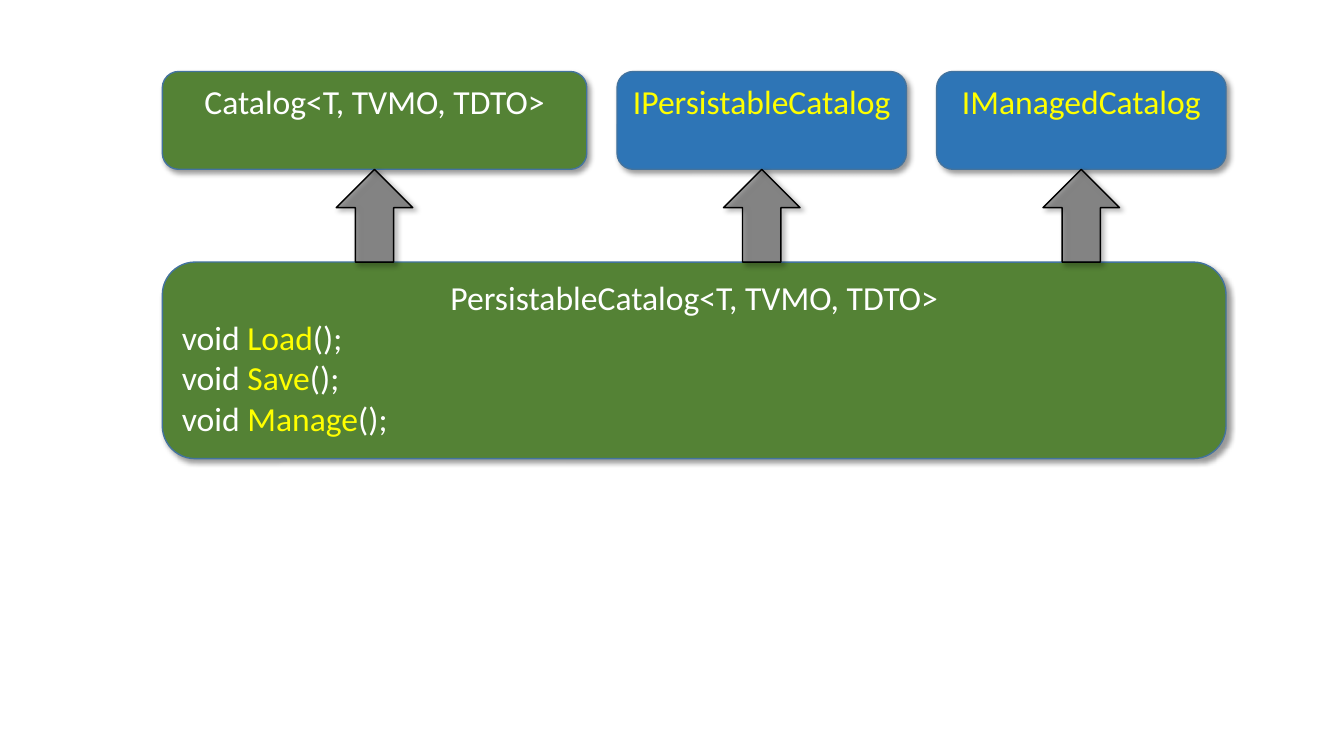
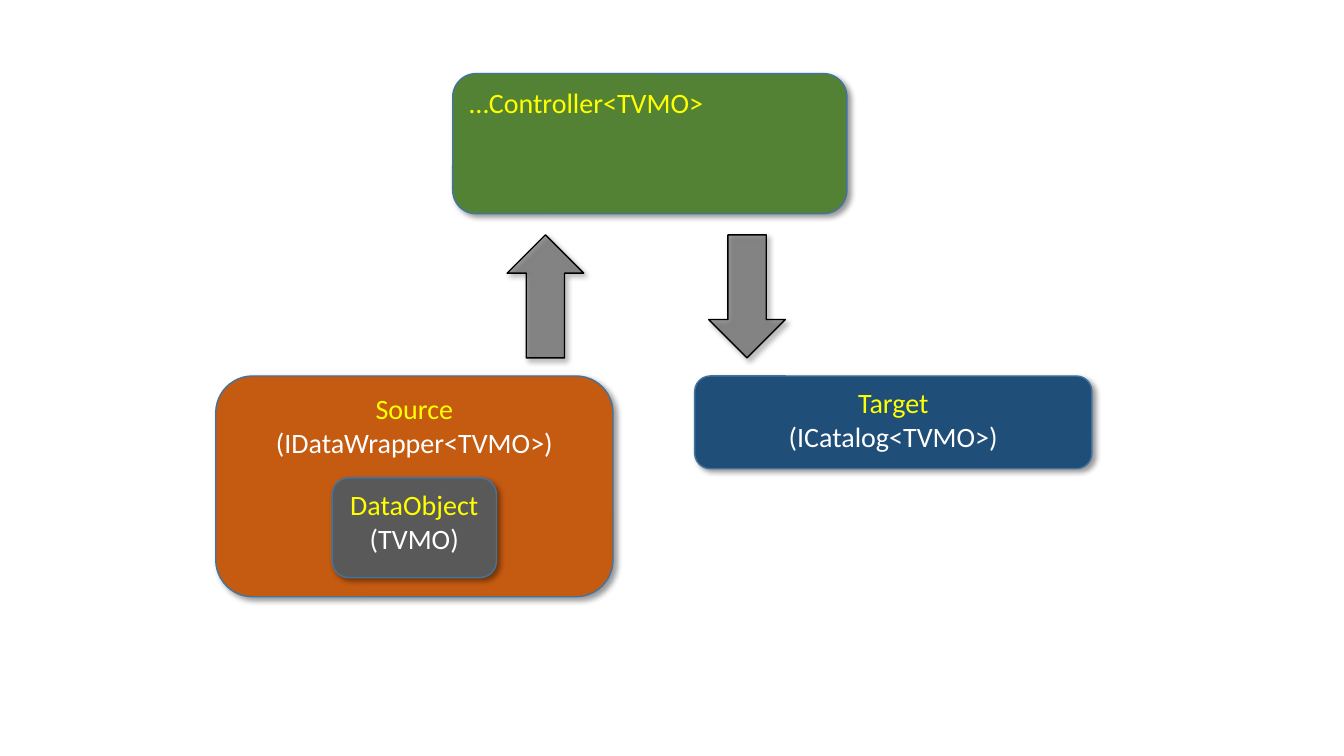
"""Build two class diagrams of a persistable catalog and its controller."""
from lxml import etree
from pptx import Presentation, util as u
from pptx.dml.color import RGBColor
from pptx.enum import shapes, text
from pptx.oxml.ns import qn

COLORS = {
    "class": "548235", "interface": "2E75B6", "source": "C55A11",
    "target": "1F4E79", "data": "595959", "border": "43739E",
    "arrow": "595959", "outline": "000000", "shadow": "000000",
    "plain": "FFFFFF", "key": "FFFF00",
}
FONT = "Calibri"
ARROW_WIDTH = 0.76
UP, DOWN = shapes.MSO_SHAPE.UP_ARROW, shapes.MSO_SHAPE.DOWN_ARROW
CENTER, LEFT = text.PP_ALIGN.CENTER, text.PP_ALIGN.LEFT

BASES = [
    ("class", 4.21, "Catalog<T, TVMO, TDTO>", "plain"),
    ("interface", 2.87, "IPersistableCatalog", "key"),
    ("interface", 2.87, "IManagedCatalog", "key"),
]
DERIVED = "PersistableCatalog<T, TVMO, TDTO>"
METHODS = ["Load", "Save", "Manage"]
CONTROLLER = "…Controller<TVMO>"
ROLES = {
    "source": ("Source", "(IDataWrapper<TVMO>)"),
    "target": ("Target", "(ICatalog<TVMO>)"),
    "data": ("DataObject", "(TVMO)"),
}


def rgb(name):
    return RGBColor.from_string(COLORS[name])


def add_alpha(color_element, percent):
    etree.SubElement(color_element, qn("a:alpha"), val=str(percent * 1000))


def add_part(slide, preset, area, fill, border):
    part = slide.shapes.add_shape(preset, *map(u.Inches, area))
    part.fill.solid()
    part.fill.fore_color.rgb = rgb(fill)
    part.line.color.rgb = rgb(border)
    part.line.width = u.Pt(1)
    part.shadow.inherit = False
    effects = part._element.spPr.find(qn("a:effectLst"))
    shadow = etree.SubElement(
        effects, qn("a:outerShdw"), blurRad=str(u.Pt(4)), dist=str(u.Pt(3)),
        dir=str(45 * 60000), algn="tl", rotWithShape="0")
    add_alpha(etree.SubElement(shadow, qn("a:srgbClr"), val=COLORS["shadow"]), 40)
    return part


def add_box(slide, area, fill, lines, size):
    """Draw a rounded box; each line is an alignment and its coloured pieces."""
    box = add_part(slide, shapes.MSO_SHAPE.ROUNDED_RECTANGLE, area, fill, "border")
    frame = box.text_frame
    frame.word_wrap = True
    frame.vertical_anchor = text.MSO_ANCHOR.TOP
    for index, (alignment, pieces) in enumerate(lines):
        line = frame.add_paragraph() if index else frame.paragraphs[0]
        line.alignment = alignment
        line.font.name, line.font.size = FONT, u.Pt(size)
        for words, color in pieces:
            run = line.add_run()
            run.text = words
            run.font.color.rgb = rgb(color)


def add_arrow(slide, preset, center, top, height):
    area = (center - ARROW_WIDTH / 2, top, ARROW_WIDTH, height)
    arrow = add_part(slide, preset, area, "arrow", "outline")
    add_alpha(arrow._element.spPr.find(qn("a:solidFill"))[0], 60)


def build_inheritance(slide):
    left, top, height, gap = 1.61, 0.71, 0.97, 0.3
    derived_top, derived_height = 2.6, 1.95
    total = sum(base[1] for base in BASES) + gap * (len(BASES) - 1)
    signatures = [
        (LEFT, [("void ", "plain"), (method, "key"), ("();", "plain")])
        for method in METHODS]
    add_box(slide, (left, derived_top, total, derived_height), "class",
            [(CENTER, [(DERIVED, "plain")])] + signatures, 24)
    bottom = top + height
    for fill, width, name, color in BASES:
        add_box(slide, (left, top, width, height), fill,
                [(CENTER, [(name, color)])], 24)
        add_arrow(slide, UP, left + width / 2, bottom, derived_top - bottom)
        left += width + gap


def build_controller(slide):
    role_top, role_width, data_width = 3.73, 3.94, 1.63
    source_left, target_left = 2.14, 6.89
    data_left = source_left + (role_width - data_width) / 2
    areas = {
        "source": (source_left, role_top, role_width, 2.19),
        "target": (target_left, role_top, role_width, 0.92),
        "data": (data_left, 4.74, data_width, 0.99),
    }
    add_box(slide, (4.49, 0.73, 3.91, 1.39), "class",
            [(LEFT, [(CONTROLLER, "key")])], 20)
    for role, (name, kind) in ROLES.items():
        add_box(slide, areas[role], role,
                [(CENTER, [(name, "key")]), (CENTER, [(kind, "plain")])], 20)
    for preset, center in ((UP, 5.41), (DOWN, 7.41)):
        add_arrow(slide, preset, center, 2.33, 1.22)


def main():
    deck = Presentation()
    deck.slide_width, deck.slide_height = u.Inches(13.33), u.Inches(7.5)
    for build in (build_inheritance, build_controller):
        build(deck.slides.add_slide(deck.slide_layouts[6]))
    deck.save("out.pptx")


if __name__ == "__main__":
    main()
